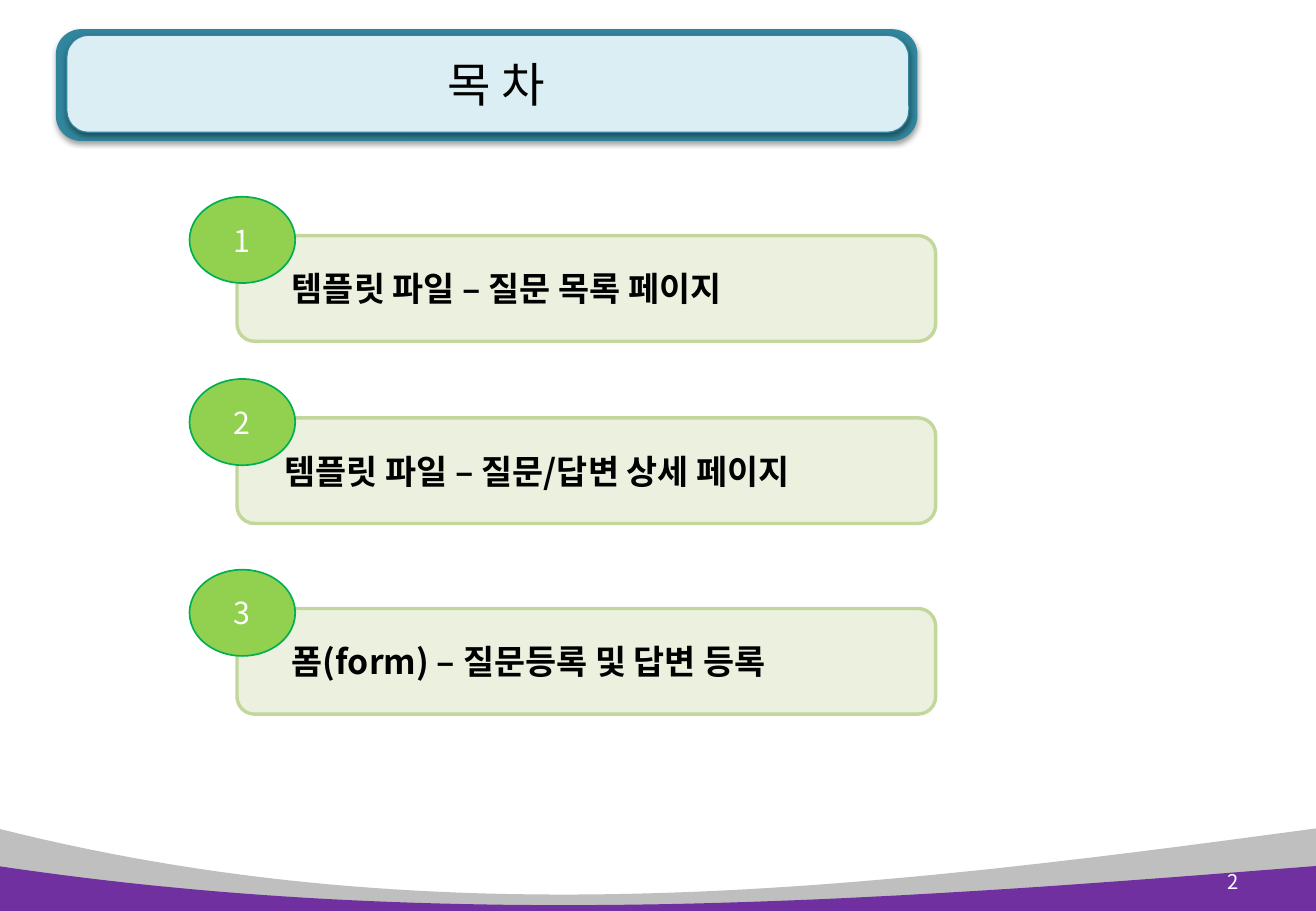
import lxml.etree
import pptx
import pptx.dml.color
import pptx.enum.shapes
import pptx.enum.text
import pptx.oxml.ns
import pptx.util

Inches = pptx.util.Inches
Pt = pptx.util.Pt
RGBColor = pptx.dml.color.RGBColor
Shape = pptx.enum.shapes.MSO_SHAPE
Align = pptx.enum.text.PP_ALIGN
Anchor = pptx.enum.text.MSO_ANCHOR
qn = pptx.oxml.ns.qn

FONT = "Noto Sans CJK KR"
BLACK = RGBColor(0x00, 0x00, 0x00)
WHITE = RGBColor(0xFF, 0xFF, 0xFF)
GRAY = RGBColor(0xBF, 0xBF, 0xBF)
PURPLE = RGBColor(0x70, 0x30, 0xA0)
TEAL = RGBColor(0x31, 0x85, 0x9C)
ICE = RGBColor(0xDB, 0xEE, 0xF4)
CREAM = RGBColor(0xEB, 0xF1, 0xDE)
OLIVE = RGBColor(0xC3, 0xD6, 0x9B)
LIME = RGBColor(0x92, 0xD0, 0x50)
GREEN = RGBColor(0x00, 0xB0, 0x50)

FORMATS = {
    "title": {"size": Pt(28), "bold": False},
    "item": {"size": Pt(20), "bold": True},
    "badge": {"size": Pt(18), "bold": False},
    "page": {"size": Pt(12), "bold": False},
}
ITEMS = [
    (1.62, 0.31, "템플릿 파일 – 질문 목록 페이지"),
    (3.12, 0.25, "템플릿 파일 – 질문/답변 상세 페이지"),
    (4.69, 0.31, "폼(form) – 질문등록 및 답변 등록"),
]


def paint(shape, fill, line=None, width=0):
    shape.shadow.inherit = False
    shape.fill.solid()
    shape.fill.fore_color.rgb = fill
    if line is None:
        shape.line.fill.background()
    else:
        shape.line.color.rgb = line
        shape.line.width = Pt(width)


def add_form(slide, kind, box, fill, line=None, width=0):
    shape = slide.shapes.add_shape(kind, *map(Inches, box))
    paint(shape, fill, line, width)
    return shape


def cast_shade(shape):
    effects = shape._element.spPr.find(qn("a:effectLst"))
    shade = lxml.etree.SubElement(
        effects, qn("a:outerShdw"), blurRad=str(Pt(3.1)), dist=str(Pt(1.6)),
        dir="5400000", algn="t", rotWithShape="0")
    color = lxml.etree.SubElement(shade, qn("a:srgbClr"), val=str(BLACK))
    lxml.etree.SubElement(color, qn("a:alpha"), val="38000")


def write(shape, text, style, color, align, indent=0):
    frame = shape.text_frame
    values = {"word_wrap": True, "vertical_anchor": Anchor.MIDDLE,
              "margin_left": Inches(0.1 + indent)}
    for name, value in values.items():
        setattr(frame, name, value)
    line = frame.paragraphs[0]
    line.alignment = align
    run = line.add_run()
    run.text = text
    for name, value in {"name": FONT, **FORMATS[style]}.items():
        setattr(run.font, name, value)
    run.font.color.rgb = color
    lxml.etree.SubElement(run._r.get_or_add_rPr(), qn("a:ea"), typeface=FONT)


def add_label(slide, box, text, style, color, align):
    label = slide.shapes.add_textbox(*map(Inches, box))
    write(label, text, style, color, align)


def add_wave(slide, box, dips, color, steps=60):
    left, top, width, height = box
    curve = [(left, top), (left + 3.67, top + dips[0]),
             (left + 7.22, top + dips[1]), (left + width, top)]
    points = []
    for step in range(steps + 1):
        t = step / steps
        parts = ((1 - t) ** 3, 3 * t * (1 - t) ** 2, 3 * t * t * (1 - t), t ** 3)
        points.append(tuple(
            Inches(sum(part * point[axis] for part, point in zip(parts, curve)))
            for axis in (0, 1)))
    points += [(Inches(left + width), Inches(top + height)),
               (Inches(left), Inches(top + height))]
    pen = slide.shapes.build_freeform(*points[0])
    pen.add_line_segments(points[1:], close=True)
    paint(pen.convert_to_shape(), color)


def add_head(slide, box):
    left, top, width, height = box
    inner = (left + 0.09, top + 0.05, width - 0.16, height - 0.12)
    for place, fill, line in ((box, TEAL, None), (inner, ICE, TEAL)):
        panel = add_form(slide, Shape.ROUNDED_RECTANGLE, place, fill, line, 0.75)
        panel.adjustments[0] = 0.225
        cast_shade(panel)
    add_label(slide, (left + 0.23, top - 0.02, 6.78, height + 0.02),
              "목 차", "title", BLACK, Align.CENTER)


def add_item(slide, box, number, text, indent):
    left, top, width, height = box
    bar = add_form(slide, Shape.ROUNDED_RECTANGLE,
                   (left + 0.39, top + 0.32, width - 0.39, height - 0.32),
                   CREAM, OLIVE, 2)
    write(bar, text, "item", BLACK, Align.LEFT, indent)
    badge = add_form(slide, Shape.OVAL, (left, top, 0.87, 0.71), LIME, GREEN, 1)
    write(badge, str(number), "badge", WHITE, Align.CENTER)


def add_foot(slide, box):
    left, top, width, height = box
    add_wave(slide, box, (0.93, 0.49), GRAY)
    add_wave(slide, (left, top + 0.31, width, height - 0.31), (0.55, 0.29), PURPLE)
    add_label(slide, (left + 9.7, top + 0.24, 0.61, 0.4),
              "2", "page", WHITE, Align.RIGHT)


def main():
    deck = pptx.Presentation()
    deck.slide_width = Inches(10.83)
    deck.slide_height = Inches(7.5)
    slide = deck.slides.add_slide(deck.slide_layouts[6])
    add_foot(slide, (-0.02, 6.82, 10.85, 0.68))
    add_head(slide, (0.46, 0.24, 7.09, 0.92))
    for number, (top, indent, text) in enumerate(ITEMS, 1):
        add_item(slide, (1.56, top, 6.14, 1.19), number, text, indent)
    deck.save("out.pptx")


if __name__ == "__main__":
    main()
